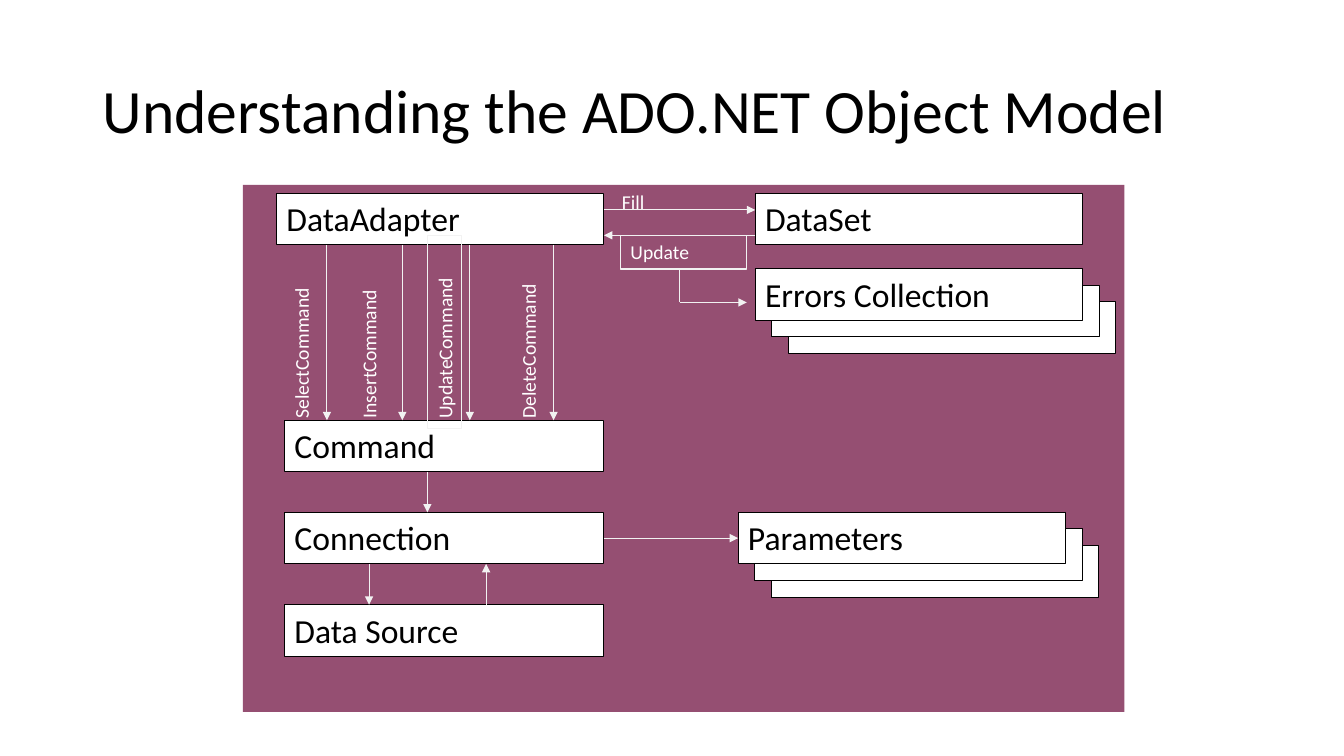
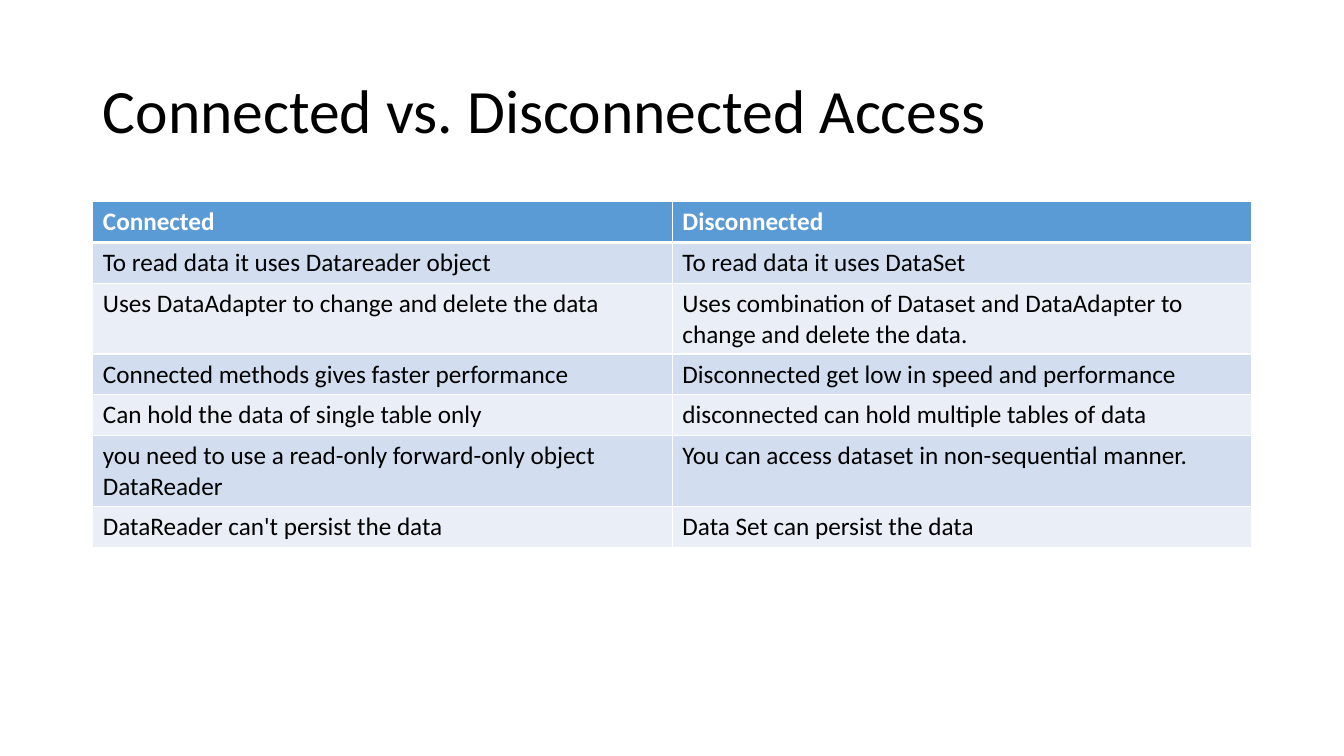
import pptx
import pptx.dml.color
import pptx.enum.shapes
import pptx.enum.text
import pptx.oxml
import pptx.oxml.ns
import pptx.util
from pptx.util import Cm, Pt

COLORS = {
    "black": "000000", "white": "FFFFFF", "panel": "954F72", "arrow": "F2F2F2",
    "header": "5B9BD5", "band_dark": "D2DEEF", "band_light": "EAEFF7",
}
FONT = "Calibri"
LEFT_MARGIN, CONTENT_WIDTH = 2.34, 29.21

# All lengths are centimetres.
MODEL_TITLE = "Understanding the ADO.NET Object Model"
PANEL = (6.12, 4.66, 22.22, 13.28)
BOX_HEIGHT, STACK_STEP = 1.3, 0.42
RIGHT_EDGE = 15.22  # shared by the boxes of the left column
# name: left, top, width, cards in the stack
BOXES = {
    "DataAdapter": (6.97, 4.87, 8.25, 1),
    "Command": (7.17, 10.59, 8.05, 1),
    "DataSet": (19.03, 4.87, 8.25, 1),
    "Errors Collection": (19.03, 6.77, 8.25, 3),
    "Connection": (7.17, 12.91, 8.05, 1),
    "Parameters": (18.6, 12.91, 8.25, 3),
    "Data Source": (7.17, 15.24, 8.05, 1),
}
# upper box, lower box, x, points down
VERTICAL_ARROWS = [
    ("DataAdapter", "Command", 8.24, True),
    ("DataAdapter", "Command", 10.14, True),
    ("DataAdapter", "Command", 11.84, True),
    ("DataAdapter", "Command", 13.95, True),
    ("Command", "Connection", 10.77, True),
    ("Connection", "Data Source", 9.3, True),
    ("Connection", "Data Source", 12.25, False),
]
# start, end, has an arrowhead
OTHER_LINES = [
    ((RIGHT_EDGE, 5.29), (19.03, 5.29), True),
    ((19.03, 5.93), (RIGHT_EDGE, 5.93), True),
    ((17.13, 6.78), (17.13, 7.62), False),
    ((17.13, 7.62), (18.82, 7.62), True),
]
# text, left, top, width, rotation, outlined
LABELS = [
    ("Fill", 15.42, 4.66, 3.18, 0, False),
    ("Update", 15.64, 5.93, 3.18, 0, True),
    ("SelectCommand", 5.26, 8.04, 4.66, 270, False),
    ("InsertCommand", 6.96, 8.04, 4.66, 270, False),
    ("UpdateCommand", 8.77, 7.94, 4.87, 270, True),
    ("DeleteCommand", 10.98, 8.04, 4.66, 270, False),
]
LABEL_HEIGHT = 0.85

ACCESS_TITLE = "Connected vs. Disconnected Access"
ACCESS_ROWS = [
    ("Connected", "Disconnected"),
    ("To read data it uses Datareader object", "To read data it uses DataSet"),
    ("Uses DataAdapter to change and delete the data",
     "Uses combination of Dataset and DataAdapter to change and delete the data."),
    ("Connected methods gives faster performance",
     "Disconnected get low in speed and performance"),
    ("Can hold the data of single table only",
     "disconnected can hold multiple tables of data"),
    ("you need to use a read-only forward-only object DataReader",
     "You can access dataset in non-sequential manner."),
    ("DataReader can't persist the data", "Data Set can persist the data"),
]
TABLE_TOP, ROW_HEIGHT = 5.08, 1.03


def color(name):
    return pptx.dml.color.RGBColor.from_string(COLORS[name])


def write(text_frame, text, size, color_name, bold=False):
    paragraph = text_frame.paragraphs[0]
    paragraph.alignment = pptx.enum.text.PP_ALIGN.LEFT
    run = paragraph.add_run()
    run.text = text
    run.font.name = FONT
    run.font.size = Pt(size)
    run.font.bold = bold
    run.font.color.rgb = color(color_name)
    return paragraph


def add_titled_slide(presentation, title):
    slide = presentation.slides.add_slide(presentation.slide_layouts[6])
    box = slide.shapes.add_textbox(Cm(LEFT_MARGIN), Cm(1.02), Cm(CONTENT_WIDTH), Cm(3.68))
    box.text_frame.word_wrap = True
    box.text_frame.vertical_anchor = pptx.enum.text.MSO_ANCHOR.MIDDLE
    write(box.text_frame, title, 44, "black").line_spacing = 0.9
    return slide


def add_rectangle(slide, left, top, width, height, fill=None, line=None):
    shape = slide.shapes.add_shape(
        pptx.enum.shapes.MSO_SHAPE.RECTANGLE, Cm(left), Cm(top), Cm(width), Cm(height))
    shape.shadow.inherit = False
    if fill:
        shape.fill.solid()
        shape.fill.fore_color.rgb = color(fill)
    else:
        shape.fill.background()
    if line:
        shape.line.color.rgb = color(line)
        shape.line.width = Pt(0.75)
    else:
        shape.line.fill.background()
    shape.text_frame.vertical_anchor = pptx.enum.text.MSO_ANCHOR.TOP
    return shape


def add_line(slide, start, end, arrowhead=True):
    connector = slide.shapes.add_connector(
        pptx.enum.shapes.MSO_CONNECTOR.STRAIGHT, *(Cm(value) for value in start + end))
    connector.line.color.rgb = color("arrow")
    connector.line.width = Pt(0.75)
    if arrowhead:
        tail = pptx.oxml.parse_xml(
            f'<a:tailEnd {pptx.oxml.ns.nsdecls("a")} type="triangle"/>')
        connector.line._get_or_add_ln().append(tail)
    connector._element.spPr.append(
        pptx.oxml.parse_xml(f'<a:effectLst {pptx.oxml.ns.nsdecls("a")}/>'))
    return connector


def add_box_stack(slide, name):
    """Draw the cards from back to front and return the named front one."""
    left, top, width, cards = BOXES[name]
    for depth in reversed(range(cards)):
        offset = depth * STACK_STEP
        front = add_rectangle(slide, left + offset, top + offset, width, BOX_HEIGHT,
                              "white", "black")
    write(front.text_frame, name, 24, "black")
    return front


def add_label(slide, text, left, top, width, rotation, outlined):
    if outlined:
        label = add_rectangle(slide, left, top, width, LABEL_HEIGHT, line="arrow")
    else:
        label = slide.shapes.add_textbox(Cm(left), Cm(top), Cm(width), Cm(LABEL_HEIGHT))
    label.rotation = rotation
    label.text_frame.word_wrap = True
    write(label.text_frame, text, 14, "white")


def build_model_slide(presentation):
    slide = add_titled_slide(presentation, MODEL_TITLE)
    add_rectangle(slide, *PANEL, fill="panel")
    boxes = {name: add_box_stack(slide, name) for name in BOXES}

    for upper, lower, x, down in VERTICAL_ARROWS:
        ends = [(x, BOXES[upper][1] + BOX_HEIGHT), (x, BOXES[lower][1])]
        add_line(slide, *(ends if down else reversed(ends)))
    for start, end, arrowhead in OTHER_LINES:
        add_line(slide, start, end, arrowhead)
    middle = BOXES["Connection"][1] + BOX_HEIGHT / 2
    connector = add_line(slide, (RIGHT_EDGE, middle), (BOXES["Parameters"][0], middle))
    connector.begin_connect(boxes["Connection"], 3)
    connector.end_connect(boxes["Parameters"], 1)

    for label in LABELS:
        add_label(slide, *label)


def set_cell_borders(cell, widths):
    """Add white borders; widths maps a side (L, R, T, B) to points."""
    properties = cell._tc.get_or_add_tcPr()
    for side, width in widths.items():
        properties.append(pptx.oxml.parse_xml(
            f'<a:ln{side} {pptx.oxml.ns.nsdecls("a")} w="{Pt(width)}"><a:solidFill>'
            f'<a:srgbClr val="{COLORS["white"]}"/></a:solidFill></a:ln{side}>'))


def build_access_slide(presentation):
    slide = add_titled_slide(presentation, ACCESS_TITLE)
    row_count, column_count = len(ACCESS_ROWS), len(ACCESS_ROWS[0])
    table = slide.shapes.add_table(
        row_count, column_count, Cm(LEFT_MARGIN), Cm(TABLE_TOP),
        Cm(CONTENT_WIDTH), Cm(ROW_HEIGHT * row_count)).table
    for row_index, texts in enumerate(ACCESS_ROWS):
        header = row_index == 0
        band = "band_dark" if row_index % 2 else "band_light"
        for column_index, text in enumerate(texts):
            cell = table.cell(row_index, column_index)
            set_cell_borders(cell, {"L": 1, "R": 1, "T": 3 if row_index == 1 else 1,
                                    "B": 3 if header else 1})
            cell.fill.solid()
            cell.fill.fore_color.rgb = color("header" if header else band)
            write(cell.text_frame, text, 18, "white" if header else "black", header)


def main():
    presentation = pptx.Presentation()
    presentation.slide_width, presentation.slide_height = Cm(33.87), Cm(19.05)
    build_model_slide(presentation)
    build_access_slide(presentation)
    presentation.save("out.pptx")


if __name__ == "__main__":
    main()
